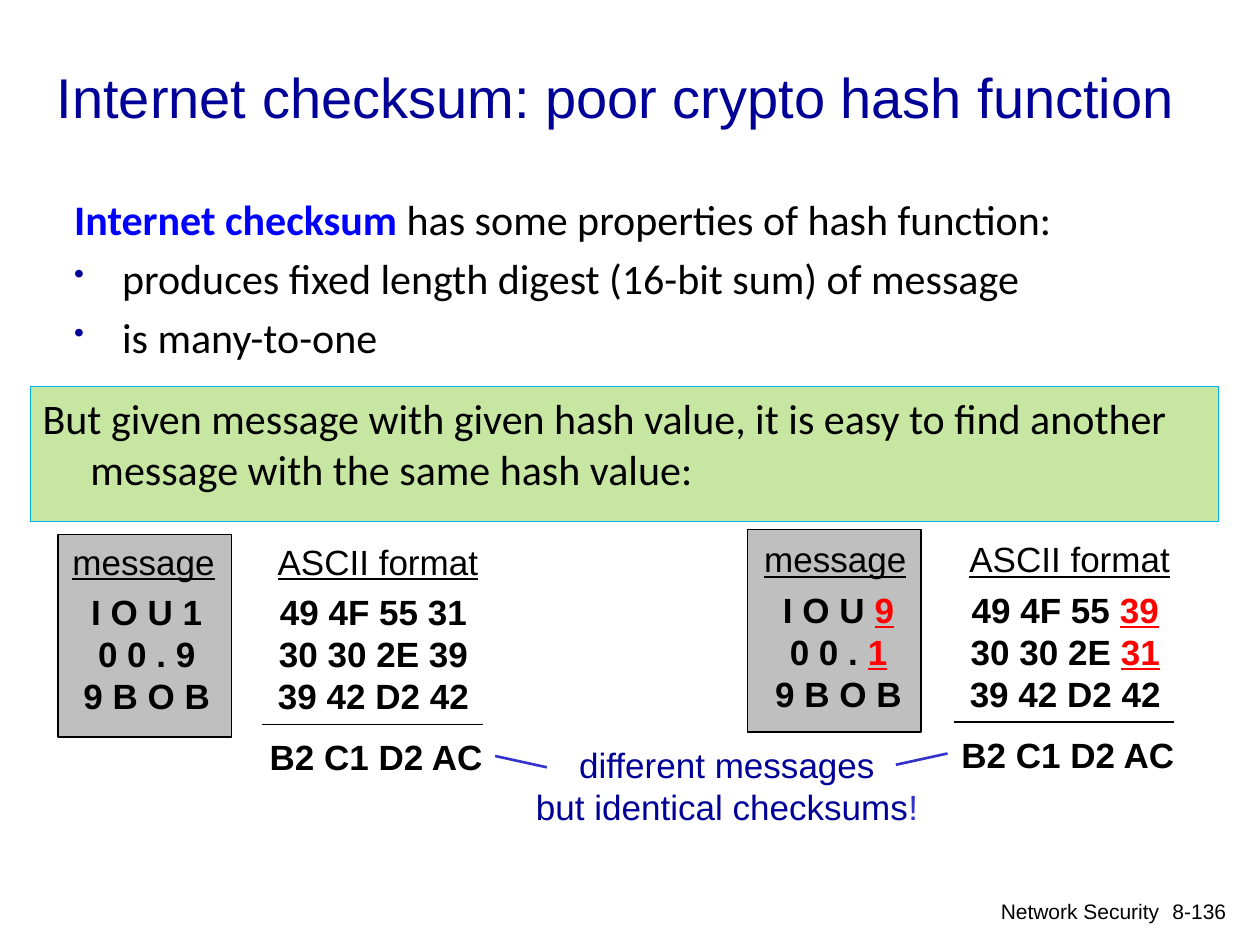
import pptx
import pptx.util
import pptx.dml.color
import pptx.enum.shapes
import pptx.enum.text
from lxml import etree
from pptx.util import Inches

RGBColor = pptx.dml.color.RGBColor
BLACK = RGBColor(0x00, 0x00, 0x00)
NAVY = RGBColor(0x00, 0x00, 0x99)
BLUE = RGBColor(0x00, 0x00, 0xFF)
INDIGO = RGBColor(0x33, 0x33, 0xCC)
RED = RGBColor(0xFF, 0x00, 0x00)
GRAY = RGBColor(0xBF, 0xBF, 0xBF)
GREEN = RGBColor(0xC6, 0xE6, 0xA2)
CYAN = RGBColor(0x00, 0xB0, 0xF0)
ALIGN = pptx.enum.text.PP_ALIGN
ANCHOR = pptx.enum.text.MSO_ANCHOR
RECTANGLE = pptx.enum.shapes.MSO_SHAPE.RECTANGLE
STRAIGHT = pptx.enum.shapes.MSO_CONNECTOR.STRAIGHT
DRAWING = "{http://schemas.openxmlformats.org/drawingml/2006/main}"


def write(shape, lines, size=20, font="Arial", color=BLACK, bold=False,
          underline=False, align=ALIGN.CENTER, anchor=ANCHOR.TOP, wrap=False,
          hanging=0, space=0, bullets=False):
    frame = shape.text_frame
    frame.word_wrap = wrap
    frame.vertical_anchor = anchor
    for number, line in enumerate(lines):
        paragraph = frame.add_paragraph() if number else frame.paragraphs[0]
        paragraph.alignment = align
        properties = paragraph._p.get_or_add_pPr()
        if hanging:
            properties.set("marL", str(Inches(hanging)))
            properties.set("indent", str(-Inches(hanging)))
        if bullets and number:
            bullet_color = etree.SubElement(properties, DRAWING + "buClr")
            etree.SubElement(bullet_color, DRAWING + "srgbClr", val=str(NAVY))
            etree.SubElement(properties, DRAWING + "buSzPct", val="70000")
            etree.SubElement(properties, DRAWING + "buChar", char="•")
        if number:
            paragraph.space_before = pptx.util.Pt(space)
        for text, changes in line:
            run = paragraph.add_run()
            run.text = text
            run.font.name = font
            run.font.size = pptx.util.Pt(size)
            run.font.bold = changes.get("bold", bold)
            run.font.underline = changes.get("underline", underline)
            run.font.color.rgb = changes.get("color", color)


def draw_line(x1, y1, x2, y2, color, width):
    line = slide.shapes.add_connector(
        STRAIGHT, Inches(x1), Inches(y1), Inches(x2), Inches(y2))
    line.line.color.rgb = color
    line.line.width = pptx.util.Pt(width)
    etree.SubElement(line._element.spPr, DRAWING + "effectLst")


presentation = pptx.Presentation()
presentation.slide_width = Inches(10)
presentation.slide_height = Inches(7.5)
slide = presentation.slides.add_slide(presentation.slide_layouts[5])
shapes = slide.shapes

title = shapes.title
title.left, title.top = Inches(0.35), Inches(0.3)
title.width, title.height = Inches(9.49), Inches(0.92)
write(title, [[("Internet checksum: poor crypto hash function", {})]], size=32,
      color=NAVY, align=ALIGN.LEFT, anchor=ANCHOR.MIDDLE, wrap=True)

properties_list = shapes.add_textbox(Inches(0.49), Inches(1.49), Inches(9.21), Inches(2.32))
write(properties_list, [
    [("Internet checksum ", {"color": BLUE, "bold": True}),
     ("has some properties of hash function:", {})],
    [("produces fixed length digest (16-bit sum) of message", {})],
    [("is many-to-one", {})],
], size=24, font="Calibri", align=ALIGN.LEFT, wrap=True, hanging=0.38, space=4.8, bullets=True)

panels = [
    (0.24, 3.07, 9.43, 1.07, GREEN, CYAN),
    (0.46, 4.24, 1.38, 1.61, GRAY, BLACK),
    (5.93, 4.2, 1.38, 1.61, GRAY, BLACK),
]
for left, top, width, height, fill, outline in panels:
    panel = shapes.add_shape(RECTANGLE, Inches(left), Inches(top), Inches(width), Inches(height))
    panel.shadow.inherit = False
    panel.fill.solid()
    panel.fill.fore_color.rgb = fill
    panel.line.color.rgb = outline
    panel.line.width = pptx.util.Pt(0.75)
    if fill == GREEN:
        write(panel, [[("But given message with given hash value, it is easy to find "
                        "another message with the same hash value:", {})]],
              size=24, font="Calibri", align=ALIGN.LEFT, wrap=True, hanging=0.38)

changed = {"color": RED, "underline": True}
examples = [
    (0, 0,
     [[("I O U 1", {})], [("0 0 . 9", {})], [("9 B O B", {})]],
     [[("49 4F 55 31", {})], [("30 30 2E 39", {})], [("39 42 D2 42", {})]]),
    (5.49, -0.02,
     [[("I O U ", {}), ("9", changed)], [("0 0 . ", {}), ("1", changed)], [("9 B O B", {})]],
     [[("49 4F 55 ", {}), ("39", changed)], [("30 30 2E ", {}), ("31", changed)],
      [("39 42 D2 42", {})]]),
]
for dx, dy, message, ascii_codes in examples:
    parts = [
        (0.47, 4.24, 1.34, 0.44, [[("message", {})]], {"underline": True}),
        (2.1, 4.24, 1.8, 0.44, [[("ASCII format", {})]], {"underline": True}),
        (0.56, 4.64, 1.21, 1.11, message, {"bold": True}),
        (2.1, 4.64, 1.73, 1.11, ascii_codes, {"bold": True}),
        (2.03, 5.79, 1.91, 0.44, [[("B2 C1 D2 AC", {})]], {"bold": True}),
    ]
    for left, top, width, height, lines, style in parts:
        part = shapes.add_textbox(Inches(left + dx), Inches(top + dy),
                                  Inches(width), Inches(height))
        write(part, lines, **style)
    draw_line(2.08 + dx, 5.75 + dy, 3.83 + dx, 5.75 + dy, BLACK, 0.75)

conclusion = shapes.add_textbox(Inches(4.09), Inches(5.85), Inches(3.36), Inches(0.77))
write(conclusion, [
    [("different messages", {})],
    [("but identical checksums", {}), ("!", {"color": INDIGO})],
], color=NAVY)
draw_line(4.34, 6.09, 3.93, 6, INDIGO, 1.5)
draw_line(7.11, 6.07, 7.52, 5.98, INDIGO, 1.5)

for text, left, width in [("Network Security", 5.08, 4.22), ("8-136", 9.09, 0.74)]:
    footer = shapes.add_textbox(Inches(left), Inches(7.08), Inches(width), Inches(0.33))
    write(footer, [[(text, {})]], size=12, align=ALIGN.RIGHT, wrap=True)

presentation.save("out.pptx")
